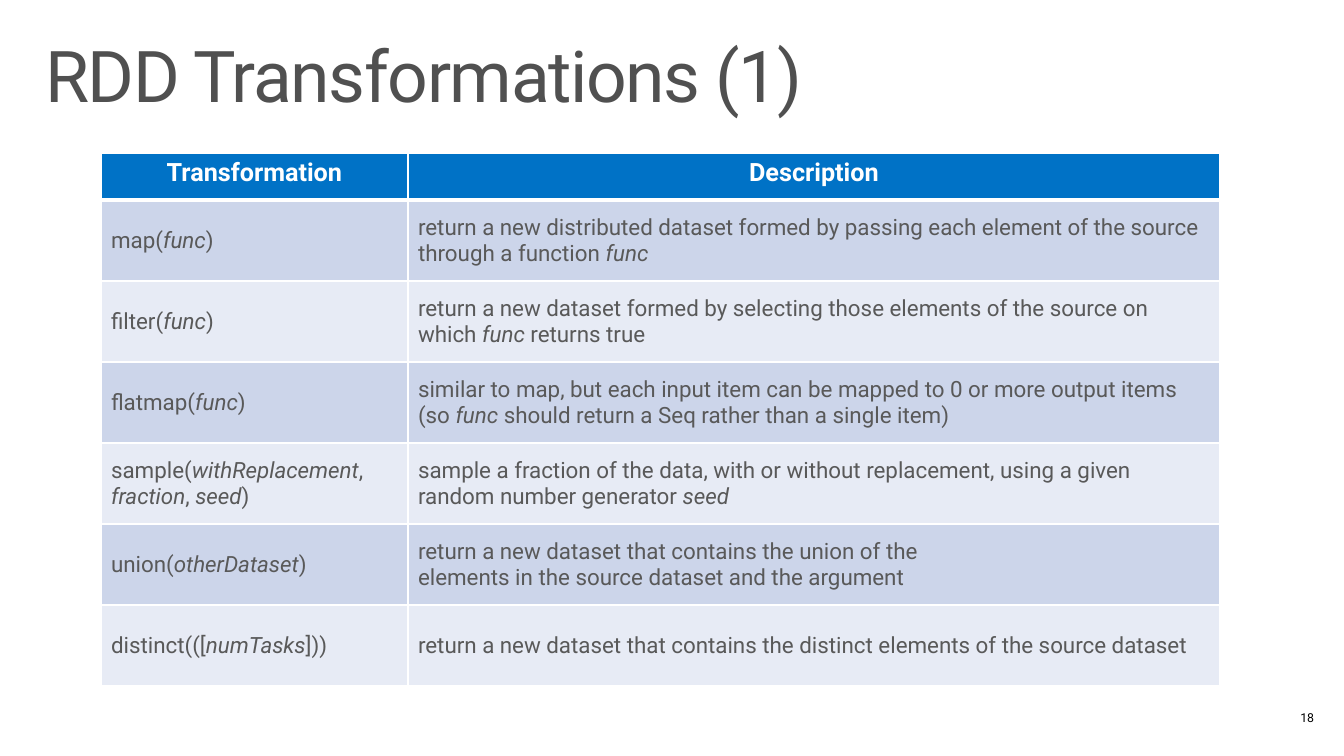
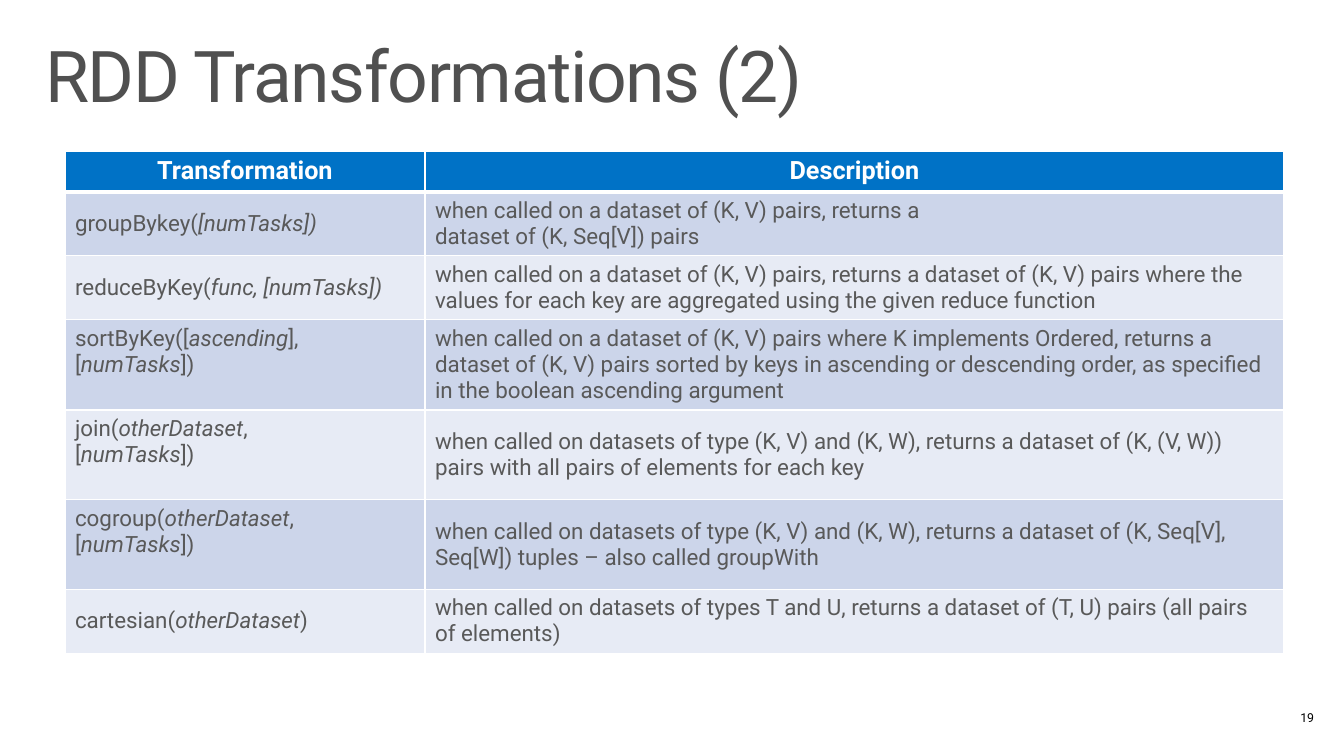
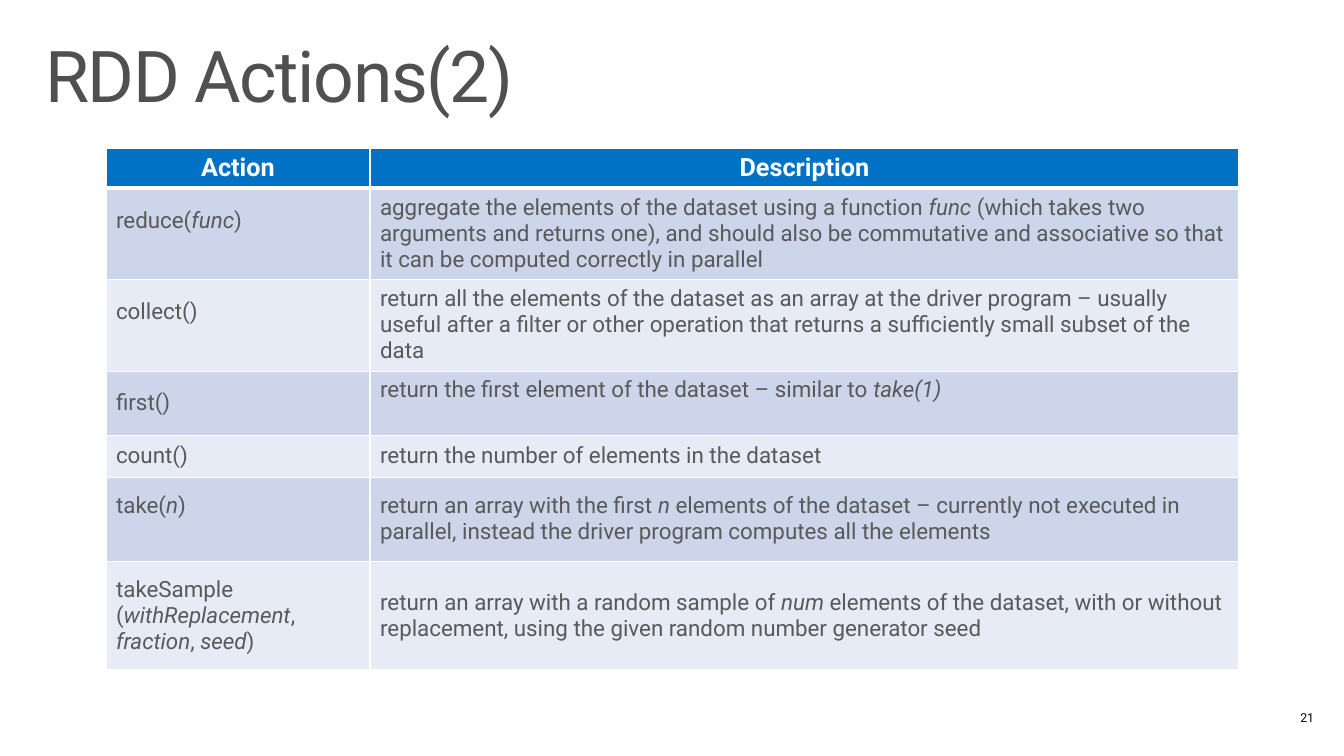
from lxml import etree
from pptx import Presentation
from pptx.dml.color import RGBColor
from pptx.enum.text import MSO_ANCHOR, PP_ALIGN
from pptx.oxml.ns import qn
from pptx.util import Emu, Pt

TOP, MIDDLE = MSO_ANCHOR.TOP, MSO_ANCHOR.MIDDLE
LEFT, CENTER, RIGHT = PP_ALIGN.LEFT, PP_ALIGN.CENTER, PP_ALIGN.RIGHT

FONT = "Roboto"
WHITE = RGBColor(0xFF, 0xFF, 0xFF)
BLACK = RGBColor(0x00, 0x00, 0x00)
TITLE = RGBColor(0x50, 0x50, 0x50)
BODY = RGBColor(0x59, 0x59, 0x59)
HEAD = RGBColor(0x00, 0x72, 0xC6)
BANDS = (RGBColor(0xE7, 0xEB, 0xF5), RGBColor(0xCC, 0xD5, 0xEA))

WIDTH, HEIGHT = 1344, 756
SCALE = 12192000 / WIDTH
PAD = 5     # cell margin above and below
LIFT = 26   # one line of body text

# Text marks: *...* is italic, a line break starts a paragraph.
MAPS = [
    ("Transformation", "Description"),
    ("map(*func*)",
     "return a new distributed dataset formed by passing each element of the "
     "source through a function *func*"),
    ("filter(*func*)",
     "return a new dataset formed by selecting those elements of the source "
     "on which *func *returns true"),
    ("flatmap(*func*)",
     "similar to map, but each input item can be mapped to 0 or more output "
     "items (so *func *should return a Seq rather than a single item)"),
    ("sample(*withReplacement*,\n*fraction*, *seed*)",
     "sample a fraction of the data, with or without replacement, using a "
     "given random number generator *seed*"),
    ("union(*otherDataset*)",
     "return a new dataset that contains the union of the\n"
     "elements in the source dataset and the argument"),
    ("distinct(([*numTasks*]))",
     "return a new dataset that contains the distinct elements of the source "
     "dataset"),
]
PAIRS = [
    ("Transformation", "Description"),
    ("groupBykey(*[numTasks])*",
     "when called on a dataset of (K, V) pairs, returns a\n"
     "dataset of (K, Seq[V]) pairs"),
    ("reduceByKey(*func, [numTasks])*",
     "when called on a dataset of (K, V) pairs, returns a dataset of (K, V) "
     "pairs where the values for each key are aggregated using the given "
     "reduce function"),
    ("sortByKey([*ascending*],\n[*numTasks*])",
     "when called on a dataset of (K, V) pairs where K implements Ordered, "
     "returns a dataset of (K, V) pairs sorted by keys in ascending or "
     "descending order, as specified in the boolean ascending argument"),
    ("join(*otherDataset*,\n[*numTasks*])",
     "when called on datasets of type (K, V) and (K, W), returns a dataset of "
     "(K, (V, W)) pairs with all pairs of elements for each key"),
    ("cogroup(*otherDataset*,\n[*numTasks*])",
     "when called on datasets of type (K, V) and (K, W), returns a dataset of "
     "(K, Seq[V], Seq[W]) tuples – also called groupWith"),
    ("cartesian(*otherDataset*)",
     "when called on datasets of types T and U, returns a dataset of (T, U) "
     "pairs (all pairs of elements)"),
]
ACTIONS = [
    ("Action", "Description"),
    ("reduce(*func*)",
     "aggregate the elements of the dataset using a function *func *(which "
     "takes two arguments and returns one), and should also be commutative "
     "and associative so that it can be computed correctly in parallel"),
    ("collect()",
     "return all the elements of the dataset as an array at the driver "
     "program – usually useful after a filter or other operation that returns "
     "a sufficiently small subset of the data"),
    ("first()",
     "return the first element of the dataset – similar to *take(1)*"),
    ("count()", "return the number of elements in the dataset"),
    ("take(*n*)",
     "return an array with the first *n *elements of the dataset – currently "
     "not executed in parallel, instead the driver program computes all the "
     "elements"),
    ("takeSample\n(*withReplacement*,\n*fraction*, *seed*)",
     "return an array with a random sample of *num *elements of the dataset, "
     "with or without replacement, using the given random number generator "
     "seed"),
]


def px(n):
    return Emu(round(n * SCALE))


def write(frame, text, size, color, align=LEFT, bold=False):
    """Fill a text frame from marked text."""
    for i, line in enumerate(text.split("\n")):
        para = frame.paragraphs[0] if i == 0 else frame.add_paragraph()
        para.alignment = align
        font = para.font
        font.name, font.size, font.bold = FONT, Pt(size), bold
        font.color.rgb = color
        for j, part in enumerate(line.split("*")):
            if part:
                run = para.add_run()
                run.text = part
                if j % 2:
                    run.font.italic = True


def add_text(slide, box, pads, text, size, color, align=LEFT, anchor=TOP):
    frame = slide.shapes.add_textbox(*map(px, box)).text_frame
    frame.word_wrap = True
    frame.vertical_anchor = anchor
    (frame.margin_left, frame.margin_top,
     frame.margin_right, frame.margin_bottom) = map(px, pads)
    write(frame, text, size, color, align)
    return frame.paragraphs[0]


def add_edges(cell, widths):
    """Draw white borders; widths are points for left, right, top, bottom."""
    props = cell._tc.get_or_add_tcPr()
    for side, width in zip("LRTB", widths):
        line = etree.SubElement(props, qn(f"a:ln{side}"), w=str(Pt(width)))
        fill = etree.SubElement(line, qn("a:solidFill"))
        etree.SubElement(fill, qn("a:srgbClr"), val=str(WHITE))


def add_table(slide, left, top, cols, rows, data, lifted):
    """Lifted cells, given as (row, column), sit half a line higher."""
    box = (left, top, sum(cols), sum(rows))
    table = slide.shapes.add_table(len(rows), len(cols),
                                   *map(px, box)).table
    for col, width in zip(table.columns, cols):
        col.width = px(width)
    for r, (height, texts) in enumerate(zip(rows, data)):
        table.rows[r].height = px(height)
        for c, text in enumerate(texts):
            cell = table.cell(r, c)
            cell.margin_top = px(PAD)
            cell.margin_bottom = px(PAD + LIFT * ((r, c) in lifted))
            add_edges(cell, (1, 1, 3 if r == 1 else 1, 1 if r else 3))
            cell.fill.solid()
            if r == 0:
                cell.fill.fore_color.rgb = HEAD
                cell.vertical_anchor = TOP
                write(cell.text_frame, text, 18, WHITE, CENTER, True)
            else:
                cell.fill.fore_color.rgb = BANDS[r % 2]
                cell.vertical_anchor = MIDDLE
                write(cell.text_frame, text, 16, BODY)


def add_slide(deck, title, page):
    """Start a slide with the shared title and page number."""
    slide = deck.slides.add_slide(deck.slide_layouts[6])
    para = add_text(slide, (29, 31, 1284, 102), (16, 10, 16, 10),
                    title, 51, TITLE)
    para.line_spacing = 0.9
    para.runs[0]._r.get_or_add_rPr().set("spc", "-100")
    add_text(slide, (1253, 710, 61, 15), (10, 0, 0, 0),
             str(page), 8.8, BLACK, RIGHT, MIDDLE)
    return slide


def main():
    deck = Presentation()
    deck.slide_width, deck.slide_height = px(WIDTH), px(HEIGHT)

    # Transformations
    slide = add_slide(deck, "RDD Transformations (1)", 18)
    add_table(slide, 101, 153, (307, 812), [47] + [81] * 6, MAPS, ())

    slide = add_slide(deck, "RDD Transformations (2)", 19)
    add_table(slide, 65, 151, (360, 859), (41, 62, 62, 88, 88, 88, 62),
              PAIRS, ((3, 0), (4, 0), (5, 0)))

    # Actions
    slide = add_slide(deck, "RDD Actions(2)", 21)
    add_table(slide, 106, 148, (264, 869), (40, 91, 92, 64, 42, 84, 109),
              ACTIONS, ((1, 0), (2, 0), (3, 1), (5, 0)))

    deck.save("out.pptx")


if __name__ == "__main__":
    main()
